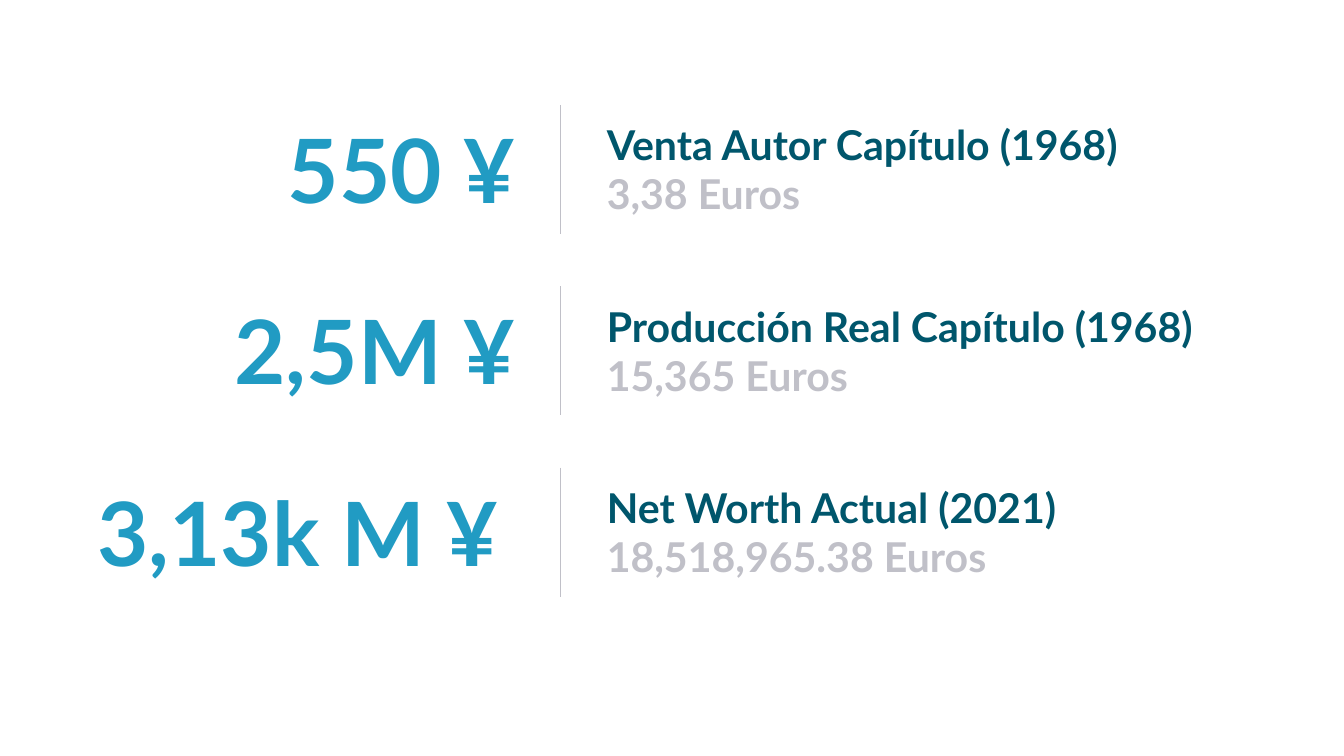
from dataclasses import dataclass

from lxml import etree
from pptx import Presentation
from pptx.dml.color import RGBColor
from pptx.enum.shapes import MSO_CONNECTOR
from pptx.enum.text import MSO_AUTO_SIZE, PP_ALIGN
from pptx.oxml.ns import qn
from pptx.slide import Slide
from pptx.util import Pt

STRAIGHT = MSO_CONNECTOR.STRAIGHT
GROW = MSO_AUTO_SIZE.SHAPE_TO_FIT_TEXT
LEFT, RIGHT = PP_ALIGN.LEFT, PP_ALIGN.RIGHT

BLUE = RGBColor(0x21, 0x9B, 0xC3)
TEAL = RGBColor(0x00, 0x56, 0x6C)
GRAY = RGBColor(0xC0, 0xC0, 0xC8)
WHITE = RGBColor(0xFF, 0xFF, 0xFF)

# Row geometry, in points
FIRST_TOP = 112.3
ROW_PITCH = 194.4
DIVIDER_X = 600.5
DIVIDER_HEIGHT = 138.2
LABEL_LEFT, LABEL_OFFSET = 643, 12.3
LABEL_WIDTH, LABEL_HEIGHT = 761.8, 113.8
AMOUNT_OFFSET, AMOUNT_HEIGHT = 7.2, 122.4


@dataclass
class Line:
    text: str
    size: float
    color: RGBColor


@dataclass
class Row:
    amount: str
    heading: str
    euros: str
    amount_left: float = 211
    amount_width: float = 347.8
    alignment: PP_ALIGN = RIGHT


ROWS = [
    Row("550 ¥", "Venta Autor Capítulo (1968)", "3,38 Euros"),
    Row("2,5M ¥", "Producción Real Capítulo (1968)", "15,365 Euros"),
    Row("3,13k M ¥", "Net Worth Actual (2021)", "18,518,965.38 Euros",
        97.2, 481, LEFT),
]


def add_text(slide: Slide, left: float, top: float, width: float, height: float,
             lines: list[Line], alignment: PP_ALIGN = LEFT) -> None:
    shape = slide.shapes.add_textbox(Pt(left), Pt(top), Pt(width), Pt(height))
    frame = shape.text_frame
    frame.word_wrap = True
    frame.auto_size = GROW
    for index, line in enumerate(lines):
        paragraph = frame.add_paragraph() if index else frame.paragraphs[0]
        paragraph.alignment = alignment
        run = paragraph.add_run()
        run.text = line.text
        font_format = {"name": "Lato", "size": Pt(line.size), "bold": True}
        for attribute, value in font_format.items():
            setattr(run.font, attribute, value)
        run.font.color.rgb = line.color


def add_divider(slide: Slide, top: float) -> None:
    connector = slide.shapes.add_connector(
        STRAIGHT, Pt(DIVIDER_X), Pt(top), Pt(DIVIDER_X), Pt(top + DIVIDER_HEIGHT))
    connector.line.color.rgb = GRAY
    connector.line.width = Pt(2)
    # An empty effect list removes the theme shadow
    etree.SubElement(connector.element.spPr, qn("a:effectLst"))


def add_row(slide: Slide, row: Row, top: float) -> None:
    add_text(slide, LABEL_LEFT, top + LABEL_OFFSET, LABEL_WIDTH, LABEL_HEIGHT,
             [Line(row.heading, 44, TEAL), Line(row.euros, 44, GRAY)])
    add_divider(slide, top)
    add_text(slide, row.amount_left, top + AMOUNT_OFFSET, row.amount_width,
             AMOUNT_HEIGHT, [Line(row.amount, 95, BLUE)], row.alignment)


def main() -> None:
    presentation = Presentation()
    presentation.slide_width, presentation.slide_height = Pt(1440), Pt(810)

    # Blank layout: the slide has no title
    slide = presentation.slides.add_slide(presentation.slide_layouts[6])
    slide.background.fill.solid()
    slide.background.fill.fore_color.rgb = WHITE

    # Amounts with their descriptions
    for index, row in enumerate(ROWS):
        add_row(slide, row, FIRST_TOP + index * ROW_PITCH)

    presentation.save("out.pptx")


if __name__ == "__main__":
    main()
